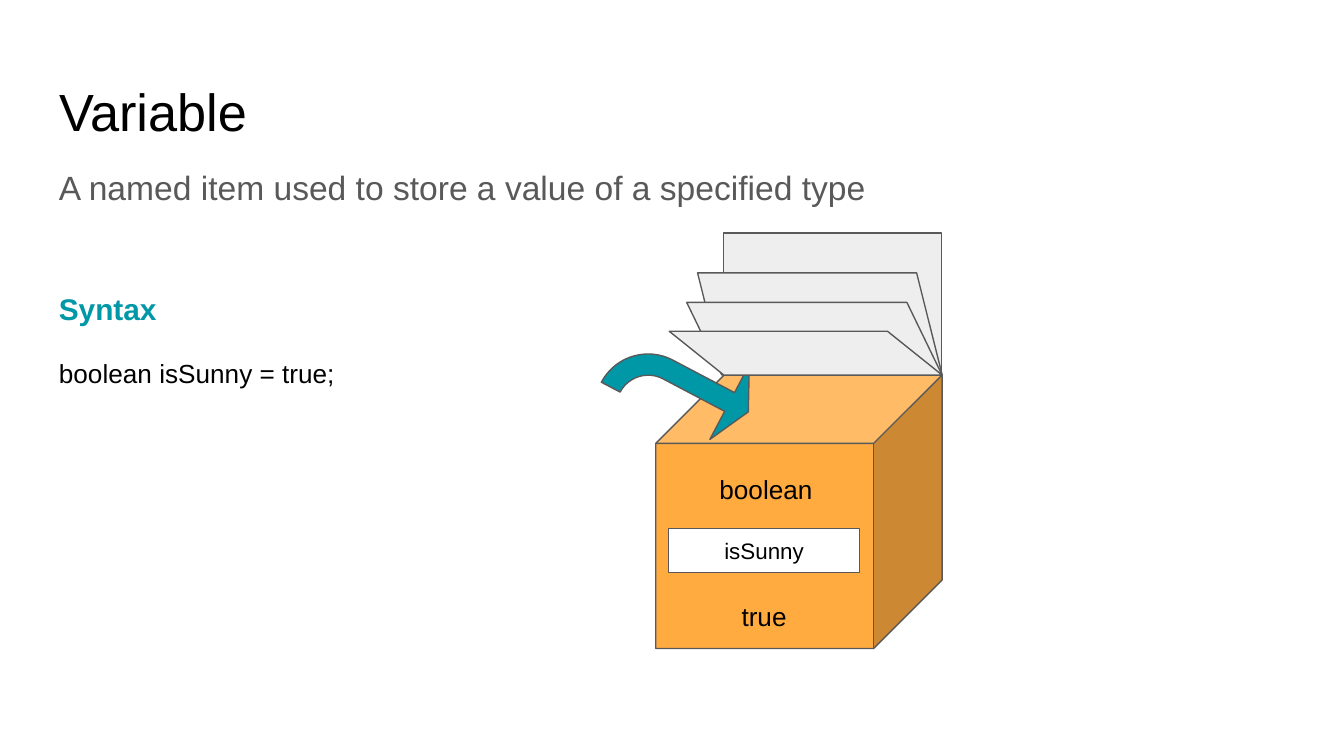
from dataclasses import dataclass

from pptx import Presentation
from pptx.dml.color import RGBColor
from pptx.enum.shapes import MSO_SHAPE
from pptx.enum.text import MSO_ANCHOR, MSO_AUTO_SIZE, PP_ALIGN
from pptx.util import Pt

PX = 4572  # 200 px to the inch


@dataclass(frozen=True)
class Theme:
    font: str = "Arial"
    black: str = "000000"
    grey: str = "595959"
    paper: str = "EEEEEE"
    white: str = "FFFFFF"
    orange: str = "FFAB40"
    teal: str = "0097A7"
    title: int = 28
    subtitle: int = 18
    heading: int = 16
    body: int = 14
    label: int = 12
    line: float = 0.75


THEME = Theme()


def px(*lengths):
    return [n * PX for n in lengths]


def set_frame(sp, anchor=MSO_ANCHOR.TOP):
    tf = sp.text_frame
    tf.word_wrap = True
    tf.auto_size = MSO_AUTO_SIZE.NONE
    tf.vertical_anchor = anchor
    tf.margin_left = tf.margin_right = tf.margin_top = tf.margin_bottom = 20 * PX
    return tf


def write(p, text, size, color=THEME.black, bold=False, align=PP_ALIGN.LEFT):
    p.text = text
    p.alignment = align
    font = p.runs[0].font
    font.name, font.size, font.bold = THEME.font, Pt(size), bold
    font.color.rgb = RGBColor.from_string(color)


def add_text(s, box, text, size, **style):
    tf = set_frame(s.shapes.add_textbox(*px(*box)))
    write(tf.paragraphs[0], text, size, **style)
    return tf


def add_outlined(s, kind, box, fill, adjustments=()):
    sp = s.shapes.add_shape(kind, *px(*box))
    sp.shadow.inherit = False
    sp.fill.solid()
    sp.fill.fore_color.rgb = RGBColor.from_string(fill)
    sp.line.color.rgb = RGBColor.from_string(THEME.grey)
    sp.line.width = Pt(THEME.line)
    for i, value in enumerate(adjustments):
        sp.adjustments[i] = value
    return sp


def add_header(s, left, top, width):
    title = s.shapes.title
    title.left, title.top, title.width, title.height = px(left, top, width, 126)
    write(set_frame(title).paragraphs[0], "Variable", THEME.title)
    tf = add_text(s, (left, top + 121, width, 142),
                  "A named item used to store a value of a specified type",
                  THEME.subtitle, color=THEME.grey)
    tf.paragraphs[0].line_spacing = 1.15


def add_syntax(s, left, top, width, height):
    tf = add_text(s, (left, top, width, height), "Syntax", THEME.heading,
                  color=THEME.teal, bold=True)
    tf.paragraphs[0].space_after = Pt(17)
    write(tf.add_paragraph(), "boolean isSunny = true;", THEME.body)


def add_flap(s, right, bottom, width, height, slant):
    """A lid flap that hinges on the right rear corner of the box."""
    sp = add_outlined(s, MSO_SHAPE.PARALLELOGRAM,
                      (right - width, bottom - height, width, height),
                      THEME.paper, [slant])
    sp.rotation = 180
    sp._element.spPr.xfrm.set("flipH", "1")


def add_variable_box(s, left, top, width, height):
    right = left + width

    # Upright lid behind the box
    add_outlined(s, MSO_SHAPE.RECTANGLE, (right - 325, top - 211, 324, 210), THEME.paper)

    # Box and its name plate
    add_outlined(s, MSO_SHAPE.CUBE, (left, top, width, height), THEME.orange, [0.25])
    plate = add_outlined(s, MSO_SHAPE.RECTANGLE, (left + 19, top + 229, 284, 65), THEME.white)
    write(set_frame(plate, MSO_ANCHOR.MIDDLE).paragraphs[0], "isSunny",
          THEME.label, align=PP_ALIGN.CENTER)

    # Opening lid, with the value arrow behind its two front flaps
    add_flap(s, right, top, 364, 152, 0.25)
    arrow = add_outlined(s, MSO_SHAPE.BENT_ARROW, (left - 64, top - 58, 214, 126),
                         THEME.teal, [0.25, 0.5, 0.25, 0.875])
    arrow.rotation = 27.8
    add_flap(s, right, top, 380, 108, 0.484)
    add_flap(s, right, top, 406, 65, 1.247)

    # Type above the plate, value below it
    for text, x, y, w, h in (("boolean", 67, 126, 194, 88), ("true", 99, 316, 124, 64)):
        add_text(s, (left + x, top + y, w, h), text, THEME.body, align=PP_ALIGN.CENTER)


def main():
    prs = Presentation()
    prs.slide_width, prs.slide_height = px(2000, 1125)
    s = prs.slides.add_slide(prs.slide_layouts[5])
    add_header(s, 68, 98, 1864)
    add_syntax(s, 68, 412, 668, 542)
    add_variable_box(s, 976, 558, 426, 407)
    prs.save("out.pptx")


if __name__ == "__main__":
    main()
